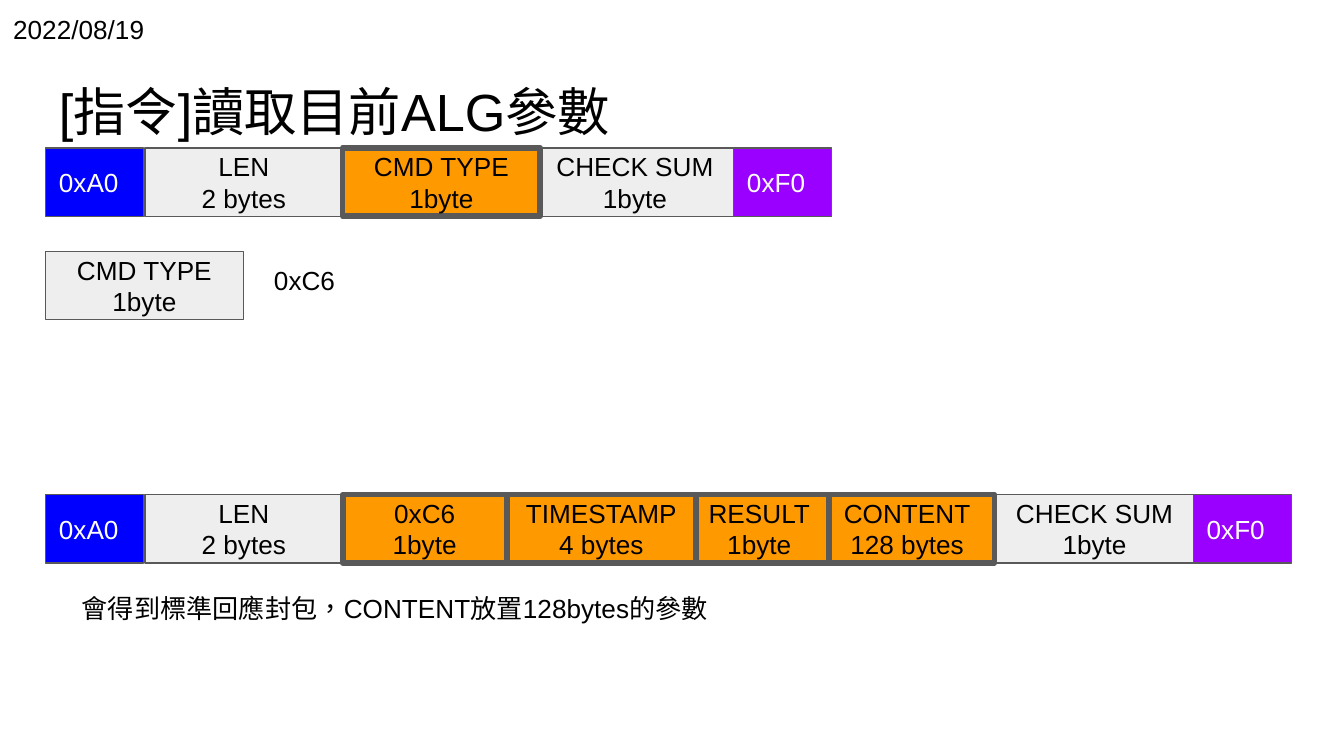
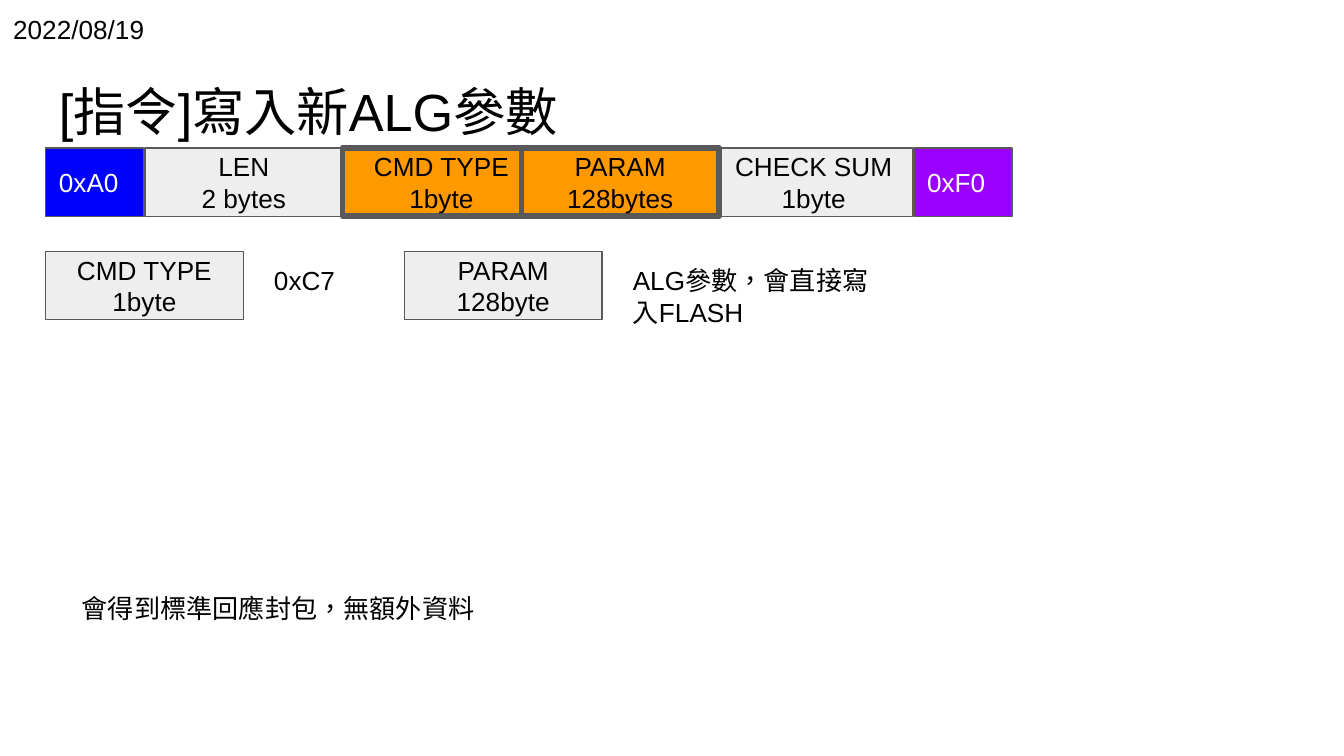
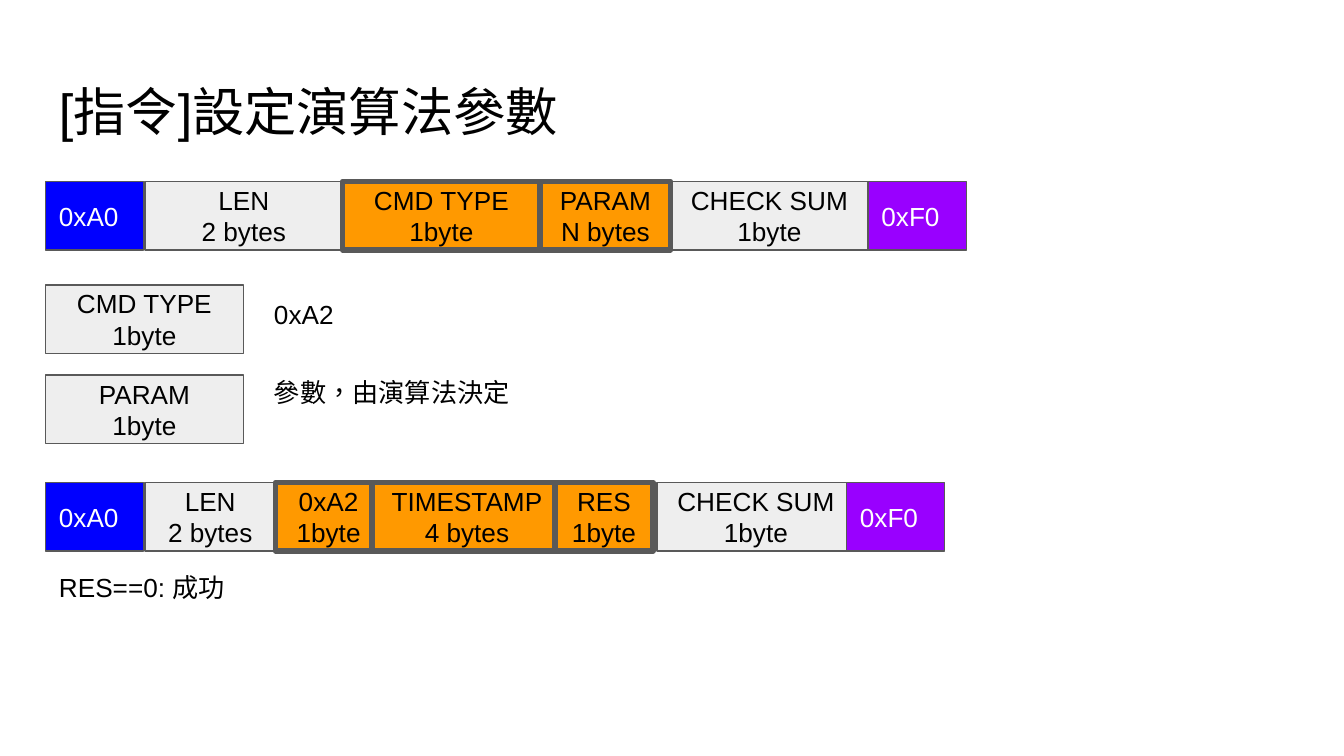
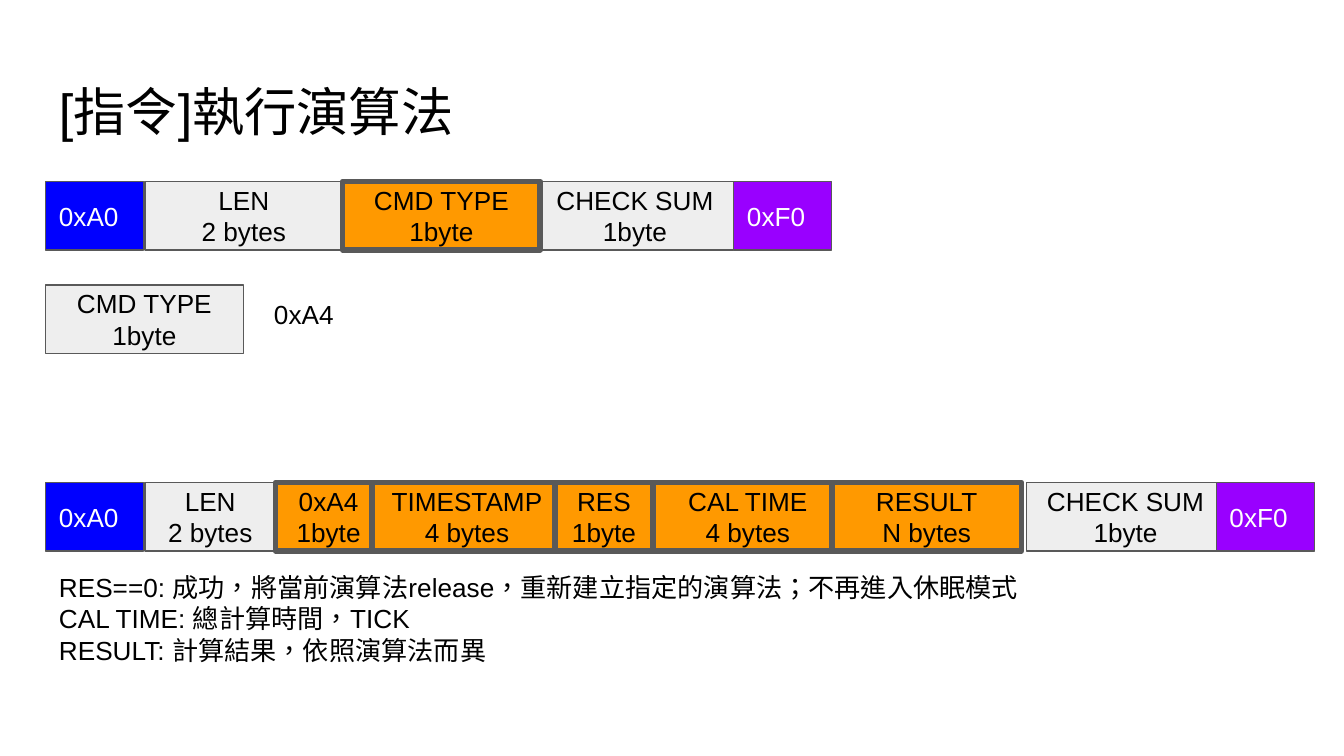
"""Build four slides that describe the command packets of an algorithm device."""
from pptx import Presentation
from pptx.dml.color import RGBColor
from pptx.enum.lang import MSO_LANGUAGE_ID as Language
from pptx.enum.shapes import MSO_SHAPE as Shape
from pptx.enum.text import MSO_ANCHOR as Anchor, PP_ALIGN as Align
from pptx.util import Emu, Pt

EMU_PER_PX = 9144
FONT = "Arial"
LANGUAGE = Language.from_xml("zh-TW")
BLACK = RGBColor(0x00, 0x00, 0x00)
WHITE = RGBColor(0xFF, 0xFF, 0xFF)
GREY = RGBColor(0xEE, 0xEE, 0xEE)
BORDER = RGBColor(0x59, 0x59, 0x59)
BLUE = RGBColor(0x00, 0x00, 0xFF)
PURPLE = RGBColor(0x99, 0x00, 0xFF)
ORANGE = RGBColor(0xFF, 0x99, 0x00)

MARGIN = 34
MARKER_WIDTH = 73
LENGTH_LEFT = 108
FIELD_WIDTH = 147
FIELD_HEIGHT = 51
VALUE_OFFSET = 160
VALUE_HEIGHT = 45
DATE = "2022/08/19"


def px(length):
    return Emu(length * EMU_PER_PX)


def write(box, text, size=14, color=BLACK, align=Align.LEFT, anchor=Anchor.TOP):
    frame = box.text_frame
    frame.word_wrap = True
    frame.vertical_anchor = anchor
    frame.margin_left = frame.margin_right = px(10)
    frame.margin_top = frame.margin_bottom = px(10)
    para = frame.paragraphs[0]
    para.alignment = align
    for index, line in enumerate(text.split("\n")):
        if index:
            para.add_line_break()
        span = para.add_run()
        span.text = line
        span.font.name = FONT
        span.font.size = Pt(size)
        span.font.color.rgb = color
        span.font.language_id = LANGUAGE


def add_text(page, text, left, top, width, height, **text_format):
    box = page.shapes.add_textbox(px(left), px(top), px(width), px(height))
    write(box, text, **text_format)


def add_field(page, text, left, top, width=FIELD_WIDTH, fill=GREY, border=0.75,
              color=BLACK, align=Align.CENTER):
    box = page.shapes.add_shape(
        Shape.RECTANGLE, px(left), px(top), px(width), px(FIELD_HEIGHT))
    box.shadow.inherit = False
    box.fill.solid()
    box.fill.fore_color.rgb = fill
    box.line.color.rgb = BORDER
    box.line.width = Pt(border)
    write(box, text, color=color, align=align, anchor=Anchor.MIDDLE)


def add_marker(page, text, left, top, fill):
    add_field(page, text, left, top, MARKER_WIDTH, fill, color=WHITE, align=Align.LEFT)


def add_packet(page, top, payload, check_left, end_left, length_width=FIELD_WIDTH):
    add_field(page, "LEN\n2 bytes", LENGTH_LEFT, top, length_width)
    add_marker(page, "0xA0", MARGIN, top, BLUE)
    add_field(page, "CHECK SUM\n1byte", check_left, top)
    add_marker(page, "0xF0", end_left, top, PURPLE)
    for text, left, width in payload:
        add_field(page, text, left, top, width, ORANGE, border=3)


def add_definition(page, name, value, top, left=MARGIN, value_width=79, value_rise=0):
    add_field(page, name, left, top)
    add_text(page, value, left + VALUE_OFFSET, top - value_rise, value_width, VALUE_HEIGHT)


def add_note(page, text, left, top):
    add_text(page, text, left, top, 819, 125)


def add_page(deck, title, date=None):
    page = deck.slides.add_slide(deck.slide_layouts[6])
    add_text(page, title, MARGIN, 49, 932, 63, size=28)
    if date:
        add_text(page, date, 0, 0, 677, 44)
    return page


def build_read_parameters(deck, command):
    page = add_page(deck, "[指令]讀取目前ALG參數", DATE)
    add_packet(page, 110, [command], 399, 546)
    add_definition(page, "CMD TYPE\n1byte", "0xC6", 187)
    response = [
        ("0xC6\n1byte", 255, 122),
        ("CONTENT\n128 bytes", 610, 130),
        ("RESULT\n1byte", 513, 104),
        ("TIMESTAMP\n4 bytes", 377, 141),
    ]
    add_packet(page, 368, response, 741, 888)
    add_note(page, "會得到標準回應封包，CONTENT放置128bytes的參數", 51, 431)


def build_write_parameters(deck, command):
    page = add_page(deck, "[指令]寫入新ALG參數", DATE)
    add_packet(page, 110, [command, ("PARAM\n128bytes", 388, FIELD_WIDTH)], 532, 680)
    add_definition(page, "CMD TYPE\n1byte", "0xC7", 187)
    add_definition(page, "PARAM\n128byte", "ALG參數，會直接寫入FLASH", 187,
                   left=301, value_width=209)
    add_note(page, "會得到標準回應封包，無額外資料", 51, 431)


def response_start(code):
    return [
        (f"{code}\n1byte", 205, 79),
        ("TIMESTAMP\n4 bytes", 277, 141),
        ("RES\n1byte", 413, 73),
    ]


def build_set_parameters(deck, command):
    page = add_page(deck, "[指令]設定演算法參數")
    add_packet(page, 135, [command, ("PARAM\nN bytes", 402, 97)], 499, 646)
    add_definition(page, "CMD TYPE\n1byte", "0xA2", 212)
    add_definition(page, "PARAM\n1byte", "參數，由演算法決定", 279,
                   value_width=779, value_rise=9)
    add_packet(page, 359, response_start("0xA2"), 489, 630, length_width=97)
    add_note(page, "RES==0: 成功", MARGIN, 415)


def build_run_algorithm(deck, command):
    page = add_page(deck, "[指令]執行演算法")
    add_packet(page, 135, [command], 399, 546)
    add_definition(page, "CMD TYPE\n1byte", "0xA4", 212)
    response = response_start("0xA4") + [
        ("CAL TIME\n4 bytes", 486, 141),
        ("RESULT\nN bytes", 619, 141),
    ]
    add_packet(page, 359, response, 764, 905, length_width=97)
    add_note(page, "RES==0: 成功，將當前演算法release，重新建立指定的演算法；不再進入休眠模式\n"
                   "CAL TIME: 總計算時間，TICK\n"
                   "RESULT: 計算結果，依照演算法而異", MARGIN, 415)


def main():
    deck = Presentation()
    deck.slide_width = px(1000)
    deck.slide_height = deck.slide_width * 9 // 16
    command = ("CMD TYPE\n1byte", 255, FIELD_WIDTH)
    for build in (build_read_parameters, build_write_parameters,
                  build_set_parameters, build_run_algorithm):
        build(deck, command)
    deck.save("out.pptx")


if __name__ == "__main__":
    main()
